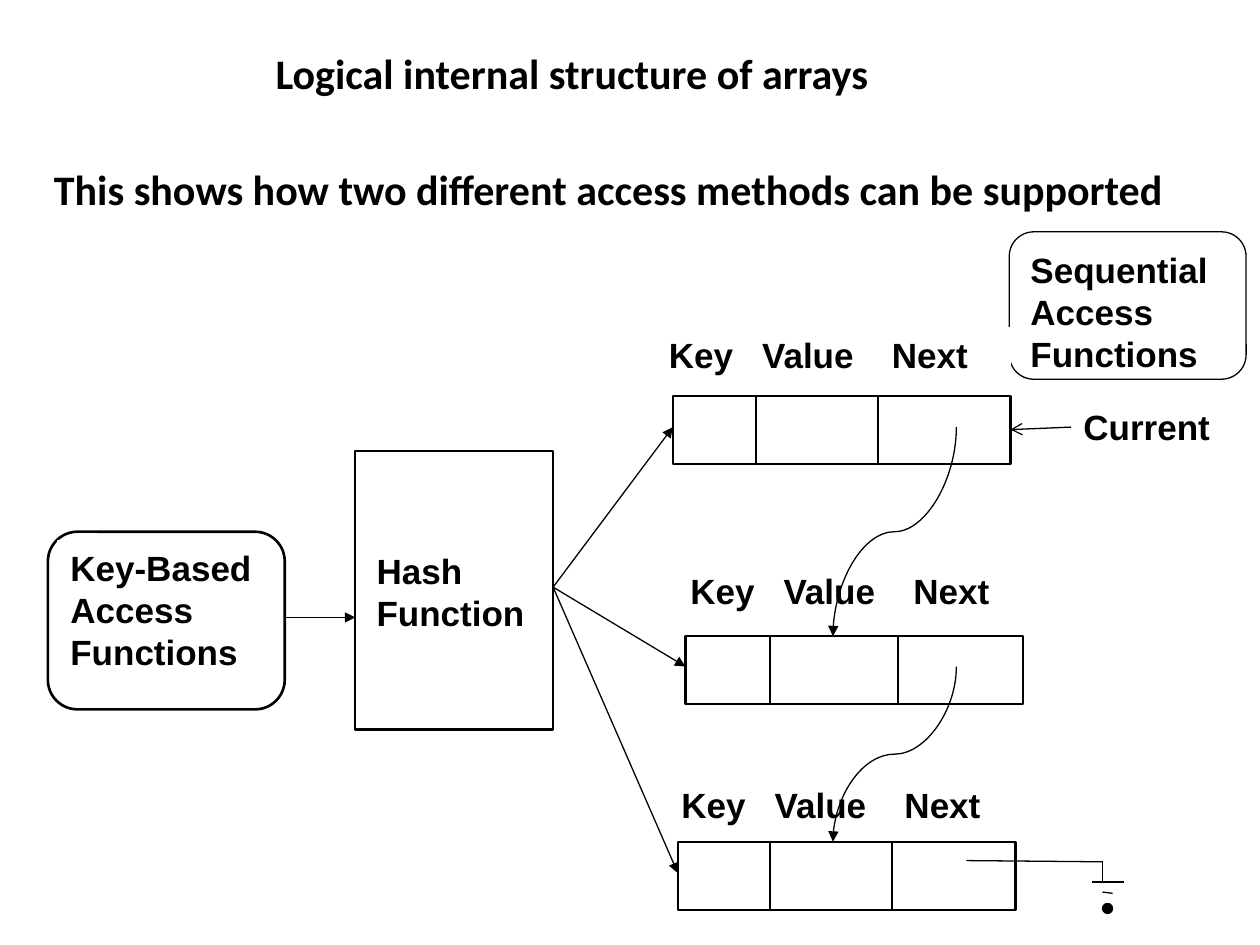
from lxml import etree
from pptx import Presentation
from pptx.dml.color import RGBColor
from pptx.enum.shapes import MSO_CONNECTOR, MSO_SHAPE
from pptx.enum.text import MSO_ANCHOR, PP_ALIGN
from pptx.oxml.ns import qn
from pptx.util import Inches, Pt

RECT = MSO_SHAPE.RECTANGLE
ROUNDED = MSO_SHAPE.FLOWCHART_ALTERNATE_PROCESS
OVAL = MSO_SHAPE.OVAL
STRAIGHT, CURVE = MSO_CONNECTOR.STRAIGHT, MSO_CONNECTOR.CURVE
LEFT, CENTER = PP_ALIGN.LEFT, PP_ALIGN.CENTER
TOP = MSO_ANCHOR.TOP

BLACK, WHITE = "000000", "FFFFFF"
RECORD_WIDTH, RECORD_HEIGHT = 2.68, 0.54
HEADER_WIDTH, HEADER_HEIGHT = 2.81, 0.43
HEADER_TABS = (0.74, 1.77)
HASH_EXIT = (4.39, 4.66)

# Record left and top, its two dividers, header left and top
RECORDS = [
    (5.34, 3.14, (6.00, 6.97), 5.21, 2.60),
    (5.44, 5.05, (6.11, 7.13), 5.38, 4.47),
    (5.38, 6.68, (6.11, 7.08), 5.31, 6.17),
]
HASH_TARGETS = [(5.34, 3.39), (5.44, 5.29), (5.38, 6.93)]
NEXT_LINKS = [((7.59, 3.39), (6.61, 5.05)), ((7.59, 5.29), (6.61, 6.68))]
GROUND_LINES = [
    ((7.67, 6.83), (8.75, 6.84)),
    ((8.75, 6.83), (8.75, 7.00)),
    ((8.67, 7.00), (8.92, 7.00)),
    ((8.75, 7.08), (8.83, 7.09)),
]


def color(hex_value):
    return RGBColor.from_string(hex_value)


def add_box(slide, kind, place, line=BLACK, width=0.75, fill=WHITE):
    box = slide.shapes.add_shape(kind, *map(Inches, place))
    box.shadow.inherit = False
    box.fill.solid()
    box.fill.fore_color.rgb = color(fill)
    box.line.color.rgb = color(line)
    box.line.width = Pt(width)
    return box


def write(shape, text, font, size, align=LEFT, after=0, tabs=()):
    frame = shape.text_frame
    frame.word_wrap = True
    frame.vertical_anchor = TOP
    frame.text = text
    paragraph = frame.paragraphs[0]
    paragraph.alignment = align
    paragraph.space_before = Pt(0)
    paragraph.space_after = Pt(after)
    if tabs:
        stops = etree.SubElement(paragraph._p.get_or_add_pPr(), qn("a:tabLst"))
        for stop in tabs:
            etree.SubElement(stops, qn("a:tab"), pos=str(Inches(stop)), algn="l")
    for run in paragraph.runs:
        run.font.name = font
        run.font.size = Pt(size)
        run.font.bold = True
        run.font.color.rgb = color(BLACK)


def add_label(slide, text, place, tabs=()):
    label = add_box(slide, RECT, place, line=WHITE)
    write(label, text, "Arial", 20, after=10, tabs=tabs)


def add_line(slide, start, end, width=0.75, head=None, kind=STRAIGHT):
    line = slide.shapes.add_connector(kind, *map(Inches, start + end))
    line.line.color.rgb = color(BLACK)
    line.line.width = Pt(width)
    properties = line.element.spPr
    if head:
        etree.SubElement(properties.find(qn("a:ln")), qn("a:tailEnd"), type=head)
    etree.SubElement(properties, qn("a:effectLst"))
    return line


def add_next_link(slide, start, end):
    """Curve that leaves downwards: a sideways curve turned by 90 degrees."""
    center_x, center_y = (start[0] + end[0]) / 2, (start[1] + end[1]) / 2
    half_run, half_drop = (start[0] - end[0]) / 2, (end[1] - start[1]) / 2
    link = add_line(
        slide,
        (center_x - half_drop, center_y - half_run),
        (center_x + half_drop, center_y + half_run),
        head="triangle",
        kind=CURVE,
    )
    link.element.spPr.find(qn("a:xfrm")).set("rot", str(90 * 60000))


def add_record(slide, left, top, dividers, header_left, header_top):
    add_box(slide, RECT, (left, top, RECORD_WIDTH, RECORD_HEIGHT), width=1.25)
    for x in dividers:
        add_line(slide, (x, top), (x, top + RECORD_HEIGHT), width=1.25)
    add_label(slide, "Key\tValue\tNext",
              (header_left, header_top, HEADER_WIDTH, HEADER_HEIGHT), HEADER_TABS)


def add_headings(slide):
    title = slide.shapes.title
    title.left, title.top, title.width, title.height = map(
        Inches, (0.33, 0.33, 8.42, 0.51))
    write(title, "Logical internal structure of arrays", "Calibri", 24, CENTER)
    subtitle = slide.shapes.add_textbox(*map(Inches, (0.33, 1.25, 9.17, 0.51)))
    write(subtitle, "This shows how two different access methods can be supported",
          "Calibri", 24)


def add_ground(slide):
    for start, end in GROUND_LINES:
        add_line(slide, start, end)
    add_box(slide, OVAL, (8.75, 7.17, 0.08, 0.08), fill=BLACK)


def main():
    presentation = Presentation()
    presentation.slide_width, presentation.slide_height = Inches(10), Inches(7.5)
    slide = presentation.slides.add_slide(presentation.slide_layouts[5])
    add_headings(slide)

    add_box(slide, ROUNDED, (0.38, 4.22, 1.88, 1.41), width=1.5)
    add_label(slide, "Key-Based Access Functions", (0.46, 4.29, 1.69, 1.19))
    add_box(slide, RECT, (2.82, 3.58, 1.57, 2.21), width=1.25)
    add_label(slide, "Hash Function", (2.89, 4.31, 1.39, 0.98))
    add_box(slide, ROUNDED, (8.01, 1.84, 1.88, 1.17))
    add_label(slide, "Sequential\vAccess Functions", (8.08, 1.92, 1.67, 1.01))
    add_label(slide, "Current", (8.5, 3.17, 1.39, 0.44))

    for record in RECORDS:
        add_record(slide, *record)
    for start, end in NEXT_LINKS:
        add_next_link(slide, start, end)
    add_line(slide, (2.26, 4.9), (2.82, 4.9), head="triangle")
    for target in HASH_TARGETS:
        add_line(slide, HASH_EXIT, target, head="triangle")
    add_line(slide, (8.5, 3.39), (8.02, 3.41), head="arrow")
    add_ground(slide)

    presentation.save("out.pptx")


if __name__ == "__main__":
    main()
